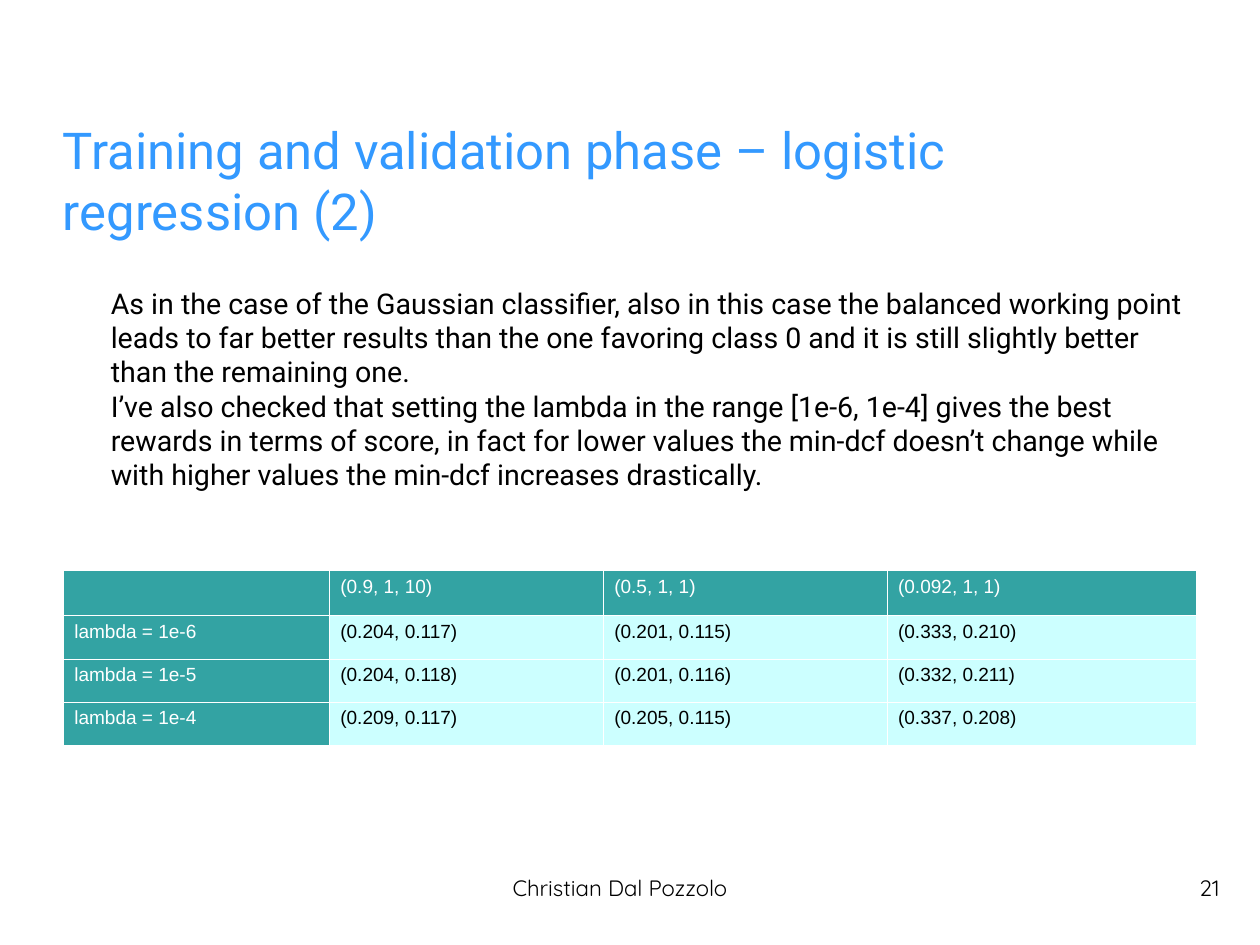
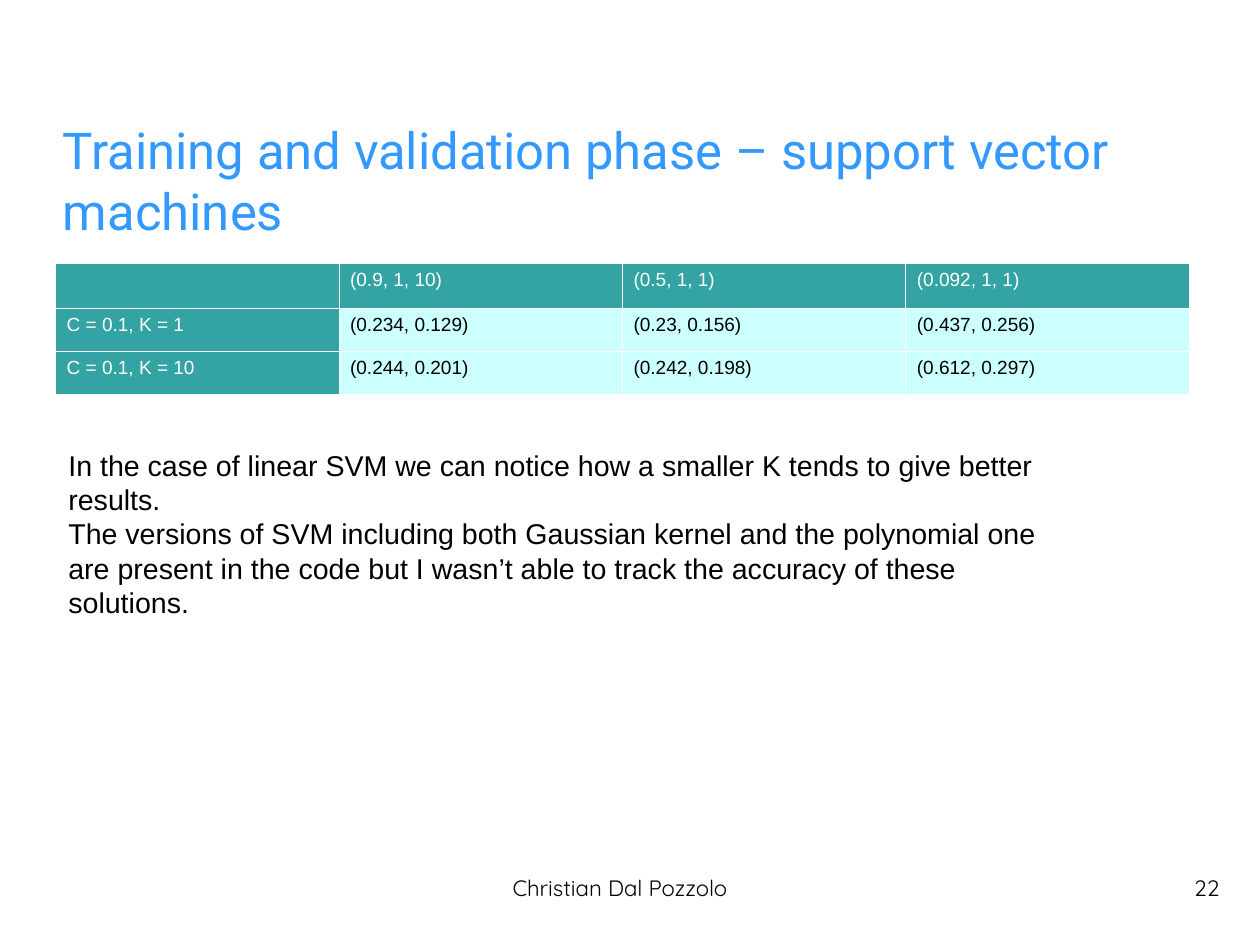
"""Build two slides on model validation results, each with a title, a score table and notes."""
from lxml import etree
from pptx import Presentation
from pptx.dml.color import RGBColor
from pptx.enum.text import MSO_ANCHOR, PP_ALIGN
from pptx.oxml.ns import qn
from pptx.util import Pt

LEFT, CENTER, RIGHT = PP_ALIGN.LEFT, PP_ALIGN.CENTER, PP_ALIGN.RIGHT
TOP, MIDDLE = MSO_ANCHOR.TOP, MSO_ANCHOR.MIDDLE
BLUE = RGBColor(0x33, 0x99, 0xFF)
TEAL = RGBColor(0x33, 0xA3, 0xA3)
PALE = RGBColor(0xCC, 0xFF, 0xFF)
WHITE = RGBColor(0xFF, 0xFF, 0xFF)
BLACK = RGBColor(0, 0, 0)

TITLE = {"name": "Roboto", "size": Pt(32)}
BODY = {"name": "Roboto", "size": Pt(18)}
NOTE = {"name": "Arial", "size": Pt(18)}
CELL = {"name": "Arial", "size": Pt(12)}
FOOTER = {"name": "Quicksand", "size": Pt(14)}

HEADER = ["", "(0.9, 1, 10)", "(0.5, 1, 1)", "(0.092, 1, 1)"]
HEADER_H, ROW_H, BORDER_W = 28.4, 27.1, 0.06
FOOTER_TOP, FOOTER_H = 550.8, 41

SLIDES = [
    {
        "title": "Training and validation phase – logistic regression (2)",
        "number": "21",
        "table_at": (39.6, 359.4),
        "cols": [167.6, 172.6, 178.8, 195.2],
        "rows": [
            ["lambda = 1e-6", "(0.204, 0.117)", "(0.201, 0.115)", "(0.333, 0.210)"],
            ["lambda = 1e-5", "(0.204, 0.118)", "(0.201, 0.116)", "(0.332, 0.211)"],
            ["lambda = 1e-4", "(0.209, 0.117)", "(0.205, 0.115)", "(0.337, 0.208)"],
        ],
        "text_at": (36, 180, 714.2, 147),
        "text_font": BODY,
        "insets": (33.8, 0, 0, 0),
        "text": [
            "As in the case of the Gaussian classifier, also in this case the balanced "
            "working point leads to far better results than the one favoring class 0 and "
            "it is still slightly better than the remaining one.",
            "I’ve also checked that setting the lambda in the range [1e-6, 1e-4] gives the "
            "best rewards in terms of score, in fact for lower values the min-dcf doesn’t "
            "change while with higher values the min-dcf increases drastically.",
        ],
    },
    {
        "title": "Training and validation phase – support vector machines",
        "number": "22",
        "table_at": (34.8, 165.8),
        "cols": [178.55] * 4,
        "rows": [
            ["C = 0.1, K = 1", "(0.234, 0.129)", "(0.23, 0.156)", "(0.437, 0.256)"],
            ["C = 0.1, K = 10", "(0.244, 0.201)", "(0.242, 0.198)", "(0.612, 0.297)"],
        ],
        "text_at": (36, 278.6, 648, 108),
        "text_font": NOTE,
        "insets": (7.2, 3.6, 7.2, 3.6),
        "text": [
            "In the case of linear SVM we can notice how a smaller K tends to give better results.",
            "The versions of SVM including both Gaussian kernel and the polynomial one are "
            "present in the code but I wasn’t able to track the accuracy of these solutions.",
        ],
    },
]


def write(p, text, font, color, align=LEFT):
    p.alignment = align
    p.text = text
    for key, value in font.items():
        setattr(p.font, key, value)
        for r in p.runs:
            setattr(r.font, key, value)
    for r in p.runs:
        r.font.color.rgb = color


def add_text(s, box, lines, font, color=BLACK, align=LEFT, anchor=TOP, insets=(0, 0, 0, 0)):
    tf = s.shapes.add_textbox(*map(Pt, box)).text_frame
    tf.word_wrap = True
    tf.vertical_anchor = anchor
    for side, inset in zip(("left", "top", "right", "bottom"), insets):
        setattr(tf, f"margin_{side}", Pt(inset))
    for i, line in enumerate(lines):
        p = tf.add_paragraph() if i else tf.paragraphs[0]
        write(p, line, font, color, align)


prs = Presentation()
prs.slide_width, prs.slide_height = Pt(793.7), Pt(595.3)

for content in SLIDES:
    s = prs.slides.add_slide(prs.slide_layouts[6])
    add_text(s, (39.6, 63.4, 714.2, 99.4), [content["title"]], TITLE, BLUE, anchor=MIDDLE)

    rows = [HEADER] + content["rows"]
    cols = content["cols"]
    heights = [HEADER_H] + [ROW_H] * len(content["rows"])
    frame = (*content["table_at"], sum(cols), sum(heights))
    table = s.shapes.add_table(len(rows), len(cols), *map(Pt, frame)).table
    table.horz_banding = False
    for column, width in zip(table.columns, cols):
        column.width = Pt(width)
    for i, (values, height) in enumerate(zip(rows, heights)):
        table.rows[i].height = Pt(height)
        for j, value in enumerate(values):
            cell = table.cell(i, j)
            is_header = i == 0 or j == 0
            write(cell.text_frame.paragraphs[0], value, CELL, WHITE if is_header else BLACK)
            tc_pr = cell._tc.get_or_add_tcPr()
            for edge in ("lnL", "lnR", "lnT", "lnB"):
                ln = etree.SubElement(tc_pr, qn(f"a:{edge}"), w=str(Pt(BORDER_W)))
                fill = etree.SubElement(ln, qn("a:solidFill"))
                etree.SubElement(fill, qn("a:srgbClr"), val=str(WHITE))
            cell.fill.solid()
            cell.fill.fore_color.rgb = TEAL if is_header else PALE

    add_text(s, content["text_at"], content["text"], content["text_font"], insets=content["insets"])
    add_text(s, (311, FOOTER_TOP, 159.2, FOOTER_H), ["Christian Dal Pozzolo"], FOOTER, align=CENTER)
    add_text(s, (626.4, FOOTER_TOP, 141.8, FOOTER_H), [content["number"]], FOOTER, align=RIGHT)

prs.save("out.pptx")
